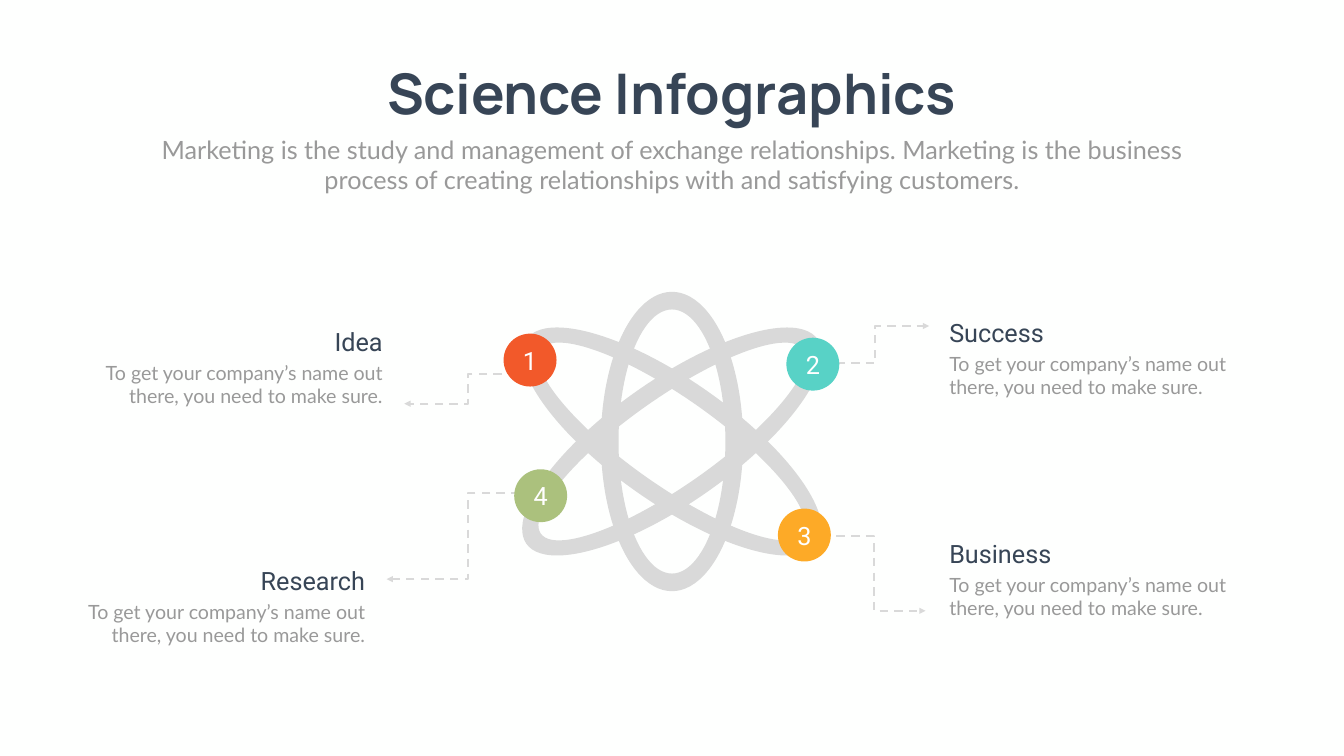
"""Build the Science Infographics slide: an atom with four numbered, captioned electrons."""
from dataclasses import dataclass

from lxml import etree
from pptx import Presentation
from pptx import util as u
from pptx.dml.color import RGBColor
from pptx.enum import dml, shapes, text
from pptx.oxml.ns import qn


@dataclass(frozen=True)
class Theme:
    paper: str = "FEFFFE"
    ink: str = "374556"
    muted: str = "999999"
    ring: str = "D9D9D9"
    white: str = "FFFFFF"
    red: str = "F2592A"
    teal: str = "58D2C6"
    amber: str = "FDAA27"
    green: str = "ABC17D"
    title_size: int = 80
    heading_size: int = 36
    detail_size: int = 28


theme = Theme()
deck = Presentation()
deck.slide_width, deck.slide_height = u.Inches(26.66), u.Inches(15)
column, row = deck.slide_width / 100, deck.slide_height / 100
page = deck.slides.add_slide(deck.slide_layouts[0])
page.background.fill.solid()
page.background.fill.fore_color.rgb = RGBColor.from_string(theme.paper)


def place(box, left, top, width, height):
    box.left, box.width = round(left * column), round(width * column)
    box.top, box.height = round(top * row), round(height * row)


def write(box, words, font, size, color, align, anchor=text.MSO_ANCHOR.TOP, bold=False, wrap=True):
    frame = box.text_frame
    frame.text = words
    frame.word_wrap, frame.vertical_anchor = wrap, anchor
    frame.auto_size = text.MSO_AUTO_SIZE.NONE
    para = frame.paragraphs[0]
    para.alignment, para.space_before = align, u.Pt(0)
    span = para.runs[0]
    span.font.name, span.font.size, span.font.bold = font, u.Pt(size), bold
    span.font.color.rgb = RGBColor.from_string(color)


center, left, right = text.PP_ALIGN.CENTER, text.PP_ALIGN.LEFT, text.PP_ALIGN.RIGHT
title, subtitle = page.shapes.title, page.placeholders[1]
place(title, 26.87, 7.47, 46.25, 9.67)
write(title, "Science Infographics", "Manrope", theme.title_size, theme.ink, center, bold=True, wrap=False)
place(subtitle, 10.95, 17.4, 78.1, 8.73)
write(
    subtitle,
    "Marketing is the study and management of exchange relationships. "
    "Marketing is the business process of creating relationships with and satisfying customers.",
    "Lato", theme.heading_size, theme.muted, center,
)

arrows = [
    (61.14, 48.07, 69.13, 43.13),
    (61.14, 70.93, 68.87, 80.8),
    (39.53, 49.47, 30.08, 53.4),
    (40.85, 65.2, 28.77, 76.6),
]
for x1, y1, x2, y2 in arrows:
    arrow = page.shapes.add_connector(
        shapes.MSO_CONNECTOR.ELBOW,
        round(x1 * column), round(y1 * row), round(x2 * column), round(y2 * row),
    )
    arrow.line.color.rgb = RGBColor.from_string(theme.ring)
    arrow.line.width = u.Pt(3)
    arrow.line.dash_style = dml.MSO_LINE.DASH
    etree.SubElement(arrow.line._get_or_add_ln(), qn("a:tailEnd"), type="triangle")
    etree.SubElement(arrow._element.spPr, qn("a:effectLst"))

captions = [
    ("Success", 70.26, 41.67, left),
    ("Idea", 28.84, 42.87, right),
    ("Business", 70.26, 70.93, left),
    ("Research", 27.53, 74.47, right),
]
detail = "To get your company’s name out there, you need to make sure."
for heading, edge, top, align in captions:
    for words, font, size, color, drop, width, height in [
        (heading, "Roboto", theme.heading_size, theme.ink, 0, 18.72, 4.73),
        (detail, "Lato", theme.detail_size, theme.muted, 4.5, 23.41, 6.93),
    ]:
        box = page.shapes.add_textbox(0, 0, 0, 0)
        place(box, edge - width if align == right else edge, top + drop, width, height)
        write(box, words, font, size, color, align)

band = u.Inches(0.35)
for width, height, tilt in [(26.48, 16.27, 35.1), (26.48, 16.27, -35.1), (10.58, 39.6, 0)]:
    orbit = page.shapes.add_shape(shapes.MSO_SHAPE.DONUT, 0, 0, 0, 0)
    place(orbit, 50 - width / 2, 58.4 - height / 2, width, height)
    orbit.adjustments[0] = band / min(orbit.width, orbit.height)
    orbit.rotation = tilt
    orbit.fill.solid()
    orbit.fill.fore_color.rgb = RGBColor.from_string(theme.ring)
    orbit.line.fill.background()
    orbit.shadow.inherit = False

electrons = [
    ("3", 59.85, 70.77, theme.amber),
    ("1", 39.44, 47.63, theme.red),
    ("2", 60.48, 48.17, theme.teal),
    ("4", 40.23, 65.57, theme.green),
]
for number, x, y, color in electrons:
    electron = page.shapes.add_shape(shapes.MSO_SHAPE.OVAL, 0, 0, 0, 0)
    place(electron, x - 1.97, y - 3.5, 3.94, 7)
    electron.fill.solid()
    electron.fill.fore_color.rgb = RGBColor.from_string(color)
    electron.line.fill.background()
    electron.shadow.inherit = False
    write(electron, number, "Roboto", theme.heading_size, theme.white, center, text.MSO_ANCHOR.MIDDLE)

deck.save("out.pptx")
